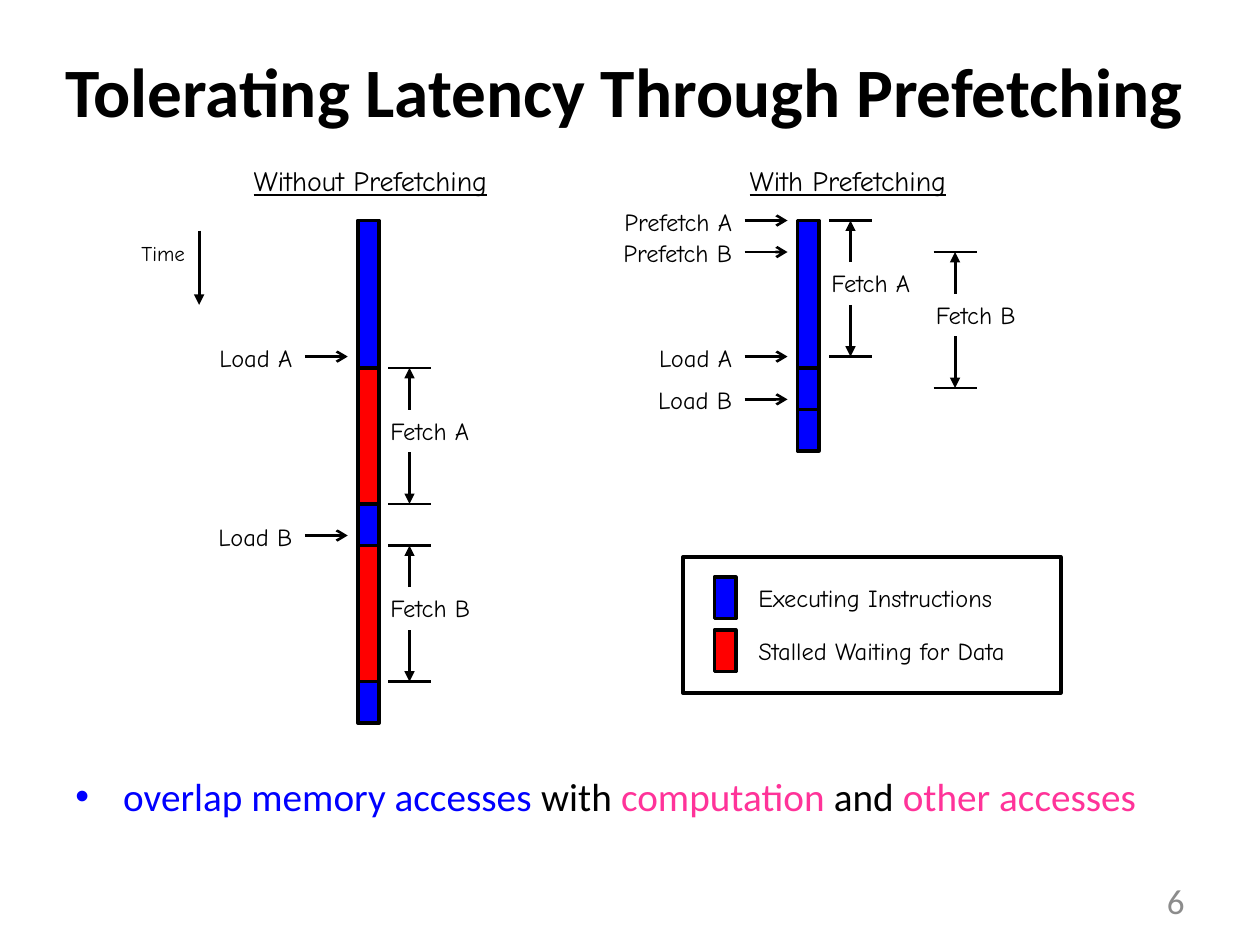
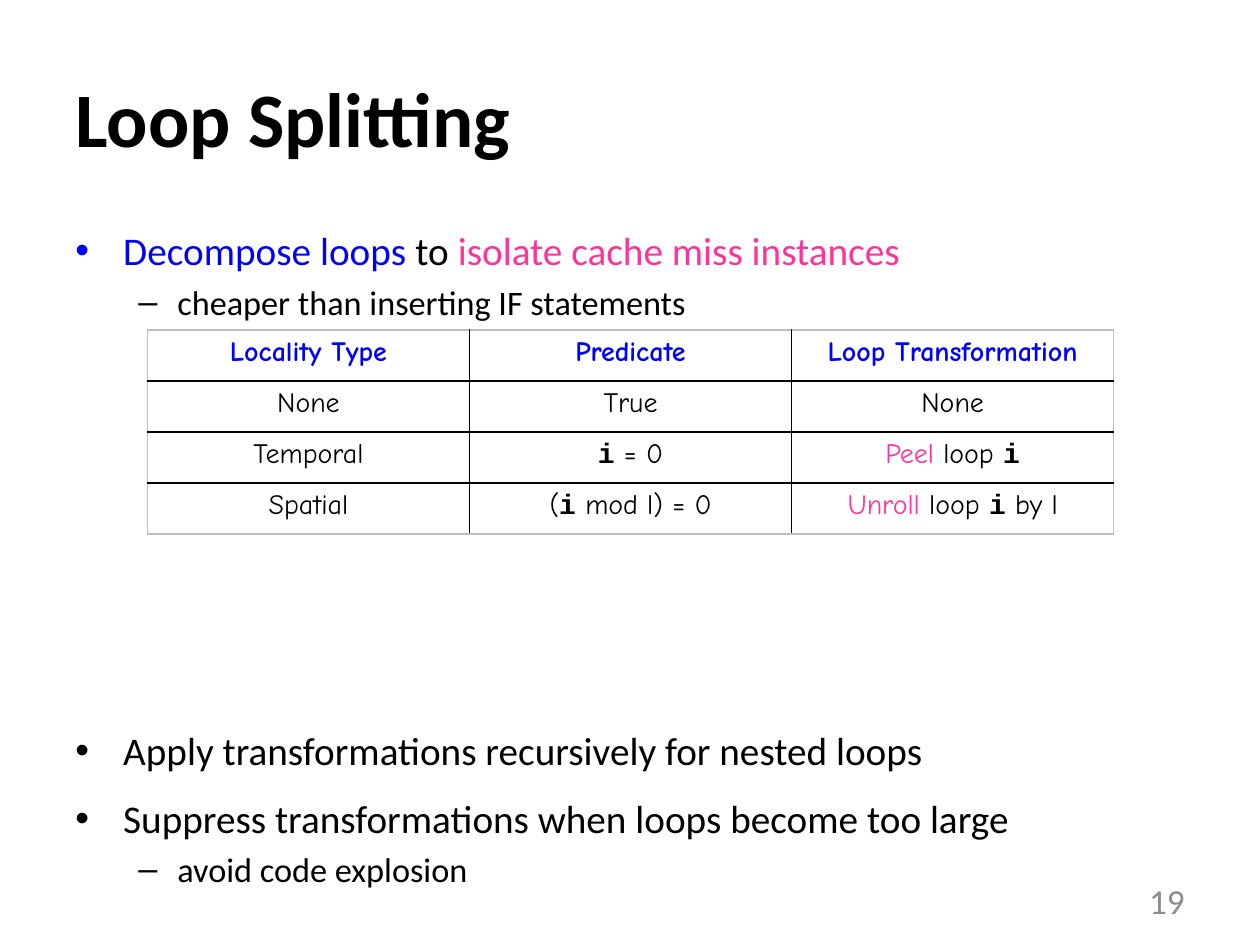
from lxml.etree import SubElement
from pptx import Presentation
from pptx.dml.color import RGBColor
from pptx.enum.shapes import MSO_CONNECTOR, MSO_SHAPE
from pptx.enum.text import MSO_ANCHOR, PP_ALIGN
from pptx.oxml import parse_xml
from pptx.oxml.ns import nsdecls, qn
from pptx.util import Inches, Pt

COLORS = {"text": "000000", "blue": "0000FF", "pink": "FF3399",
          "red": "FF0000", "page": "8C8C8C", "table_edge": "BFBFBF"}
BODY_FONT, LABEL_FONT, CODE_FONT = "Calibri", "Comic Neue", "Courier New"
ALIGN = {"left": PP_ALIGN.LEFT, "center": PP_ALIGN.CENTER, "right": PP_ALIGN.RIGHT}
BULLETS = [("•", 22.4, 0.38, 0.38), ("–", 19.6, 0.81, 0.31)]

TIME_ZERO = 1.75
BAR_WIDTH = 0.17
COMPUTE, STALL, STEP = 1.17, 1.08, 0.33
CODE_I = ("i", {"font": CODE_FONT, "bold": True})


def rgb(color):
    return RGBColor.from_string(COLORS[color])


def write(paragraph, runs, align="left", **base):
    """Fill a paragraph with a string or with (text, format changes) pairs."""
    paragraph.alignment = ALIGN[align]
    for words, changes in [(runs, {})] if isinstance(runs, str) else runs:
        style = {"size": 14, "font": LABEL_FONT, "color": "text",
                 "bold": False, "underline": False, **base, **changes}
        run = paragraph.add_run()
        run.text = words
        run.font.size = Pt(style["size"])
        run.font.name = style["font"]
        run.font.bold = style["bold"]
        run.font.underline = style["underline"]
        run.font.color.rgb = rgb(style["color"])


def add_frame(slide, box, wrap=True, anchor=MSO_ANCHOR.TOP):
    frame = slide.shapes.add_textbox(*map(Inches, box)).text_frame
    frame.word_wrap = wrap
    frame.vertical_anchor = anchor
    return frame


def add_text(slide, box, runs, wrap=False, anchor=MSO_ANCHOR.TOP, **style):
    write(add_frame(slide, box, wrap, anchor).paragraphs[0], runs, **style)


def add_title(slide, title, box, size):
    add_text(slide, box, title, wrap=True, anchor=MSO_ANCHOR.MIDDLE,
             size=size, font=BODY_FONT, bold=True)


def add_page_number(slide, number):
    add_text(slide, (7.17, 6.95, 2.33, 0.4), str(number), wrap=True,
             anchor=MSO_ANCHOR.MIDDLE, align="right", size=20,
             font=BODY_FONT, color="page")


def add_bullets(slide, box, items):
    """Each item is (level, runs, line spacing, points before)."""
    frame = add_frame(slide, box)
    for index, (level, runs, spacing, before) in enumerate(items):
        paragraph = frame.add_paragraph() if index else frame.paragraphs[0]
        mark, size, margin, hanging = BULLETS[level]
        paragraph.level = level
        paragraph.line_spacing = spacing
        paragraph.space_before = Pt(before)
        properties = paragraph._p.get_or_add_pPr()
        properties.set("marL", str(Inches(margin)))
        properties.set("indent", str(-Inches(hanging)))
        SubElement(properties, qn("a:buFont"), typeface="Arial")
        SubElement(properties, qn("a:buChar"), char=mark)
        write(paragraph, runs, size=size, font=BODY_FONT)


def add_box(slide, box, fill=None):
    shape = slide.shapes.add_shape(MSO_SHAPE.RECTANGLE, *map(Inches, box))
    shape.shadow.inherit = False
    if fill:
        shape.fill.solid()
        shape.fill.fore_color.rgb = rgb(fill)
    else:
        shape.fill.background()
    shape.line.color.rgb = rgb("text")
    shape.line.width = Pt(2)


def add_line(slide, start, end, width=1.5, head=None):
    line = slide.shapes.add_connector(
        MSO_CONNECTOR.STRAIGHT, *map(Inches, (*start, *end)))
    line.line.color.rgb = rgb("text")
    line.line.width = Pt(width)
    if head:
        SubElement(line.line._get_or_add_ln(), qn("a:tailEnd"), type=head)
    SubElement(line._element.spPr, qn("a:effectLst"))


def add_timeline(slide, left, phases):
    top = TIME_ZERO
    for color, duration in phases:
        add_box(slide, (left, top, BAR_WIDTH, duration), color)
        top += duration


def add_event(slide, bar_left, y, label):
    """Label and arrow that point at the timeline from its left."""
    arrow_left = bar_left - 0.42
    add_text(slide, (arrow_left - 1.2, y - 0.16, 1.2, 0.34), label, align="right")
    add_line(slide, (arrow_left, y), (arrow_left + 0.34, y), head="arrow")


def add_fetch(slide, axis, top, label):
    """Dimension mark as long as one fetch, with its label in the middle."""
    bottom = top + STALL
    for y in (top, bottom):
        add_line(slide, (axis - 0.17, y), (axis + 0.17, y))
    add_line(slide, (axis, top + 0.33), (axis, top), 1.75, "triangle")
    add_line(slide, (axis, bottom - 0.41), (axis, bottom), 1.75, "triangle")
    add_text(slide, (axis - 0.25, top + 0.33, 0.94, 0.34), label)


def set_borders(cell, edges):
    """Edges are colours in the order left, right, top, bottom."""
    properties = cell._tc.get_or_add_tcPr()
    for index, (side, color) in enumerate(zip("LRTB", edges)):
        properties.insert(index, parse_xml(
            f'<a:ln{side} {nsdecls("a")} w="{Pt(1)}"><a:solidFill>'
            f'<a:srgbClr val="{COLORS[color]}"/></a:solidFill></a:ln{side}>'))


def add_grid(slide, box, rows):
    last_row, last_column = len(rows) - 1, len(rows[0]) - 1
    table = slide.shapes.add_table(
        len(rows), len(rows[0]), *map(Inches, box)).table
    table.first_row = table.horz_banding = False
    for r, row in enumerate(rows):
        for c, runs in enumerate(row):
            cell = table.cell(r, c)
            cell.fill.background()
            outer = (c == 0, c == last_column, r == 0, r == last_row)
            set_borders(cell, ["table_edge" if edge else "text" for edge in outer])
            write(cell.text_frame.paragraphs[0], runs, align="center", size=16,
                  bold=r == 0, color="text" if r else "blue")


def add_legend(slide):
    add_box(slide, (5.42, 4.42, 3, 1.08))
    entries = [("blue", "Executing Instructions"), ("red", "Stalled Waiting for Data")]
    for index, (color, meaning) in enumerate(entries):
        top = 4.58 + 0.42 * index
        add_box(slide, (5.67, top, BAR_WIDTH, STEP), color)
        add_text(slide, (5.92, top, 2.4, 0.34), meaning)


def build_prefetching(slide):
    add_title(slide, "Tolerating Latency Through Prefetching",
              (0.42, 0.09, 9.58, 1.25), 39.6)
    add_bullets(slide, (0.5, 6.08, 9, 0.58), [
        (0, [("overlap memory accesses", {"color": "blue"}), (" with ", {}),
             ("computation", {"color": "pink"}), (" and ", {}),
             ("other accesses", {"color": "pink"})], 1, 4)])
    add_page_number(slide, 6)

    for heading, left, width in [("Without Prefetching", 1.75, 2.38),
                                 ("With Prefetching", 5.71, 2.04)]:
        add_text(slide, (left, 1.25, width, 0.37), heading,
                 align="center", size=16, underline=True)
    add_line(slide, (1.58, 1.83), (1.58, 2.42), 1.75, "triangle")
    add_text(slide, (1, 1.86, 0.59, 0.3), "Time", align="center", size=12)

    without = 2.84
    add_timeline(slide, without, [("blue", COMPUTE), ("red", STALL), ("blue", STEP),
                                  ("red", STALL), ("blue", STEP)])
    for y, label in [(2.83, "Load A"), (4.25, "Load B")]:
        add_event(slide, without, y, label)
    for top, label in [(2.92, "Fetch A"), (4.33, "Fetch B")]:
        add_fetch(slide, 3.25, top, label)

    with_prefetch = 6.33
    add_timeline(slide, with_prefetch,
                 [("blue", COMPUTE), ("blue", STEP), ("blue", STEP)])
    for y, label in [(1.75, "Prefetch A"), (2, "Prefetch B"),
                     (2.83, "Load A"), (3.17, "Load B")]:
        add_event(slide, with_prefetch, y, label)
    for axis, top, label in [(6.75, 1.75, "Fetch A"), (7.58, 2, "Fetch B")]:
        add_fetch(slide, axis, top, label)
    add_legend(slide)


def build_loop_splitting(slide):
    add_title(slide, "Loop Splitting", (0.5, 0.3, 9, 1.25), 44)
    add_bullets(slide, (0.5, 1.75, 9, 4.95), [
        (0, [("Decompose loops", {"color": "blue"}), (" to ", {}),
             ("isolate cache miss instances", {"color": "pink"})], 1, 4),
        (1, "cheaper than inserting IF statements", 1, 4),
        (0, "Apply transformations recursively for nested loops", 1.3, 223),
        (0, "Suppress transformations when loops become too large", 1.3, 4),
        (1, "avoid code explosion", 1, 4)])
    add_page_number(slide, 19)
    add_grid(slide, (1.17, 2.62, 7.67, 1.62), [
        ["Locality Type", "Predicate", "Loop Transformation"],
        ["None", "True", "None"],
        ["Temporal", [CODE_I, (" = 0", {})],
         [("Peel", {"color": "pink"}), (" loop ", {}), CODE_I]],
        ["Spatial", [("(", {}), CODE_I, (" mod l) = 0", {})],
         [("Unroll", {"color": "pink"}), (" loop ", {}), CODE_I, (" by l", {})]]])


def main():
    deck = Presentation()
    deck.slide_width, deck.slide_height = Inches(10), Inches(7.5)
    for build in (build_prefetching, build_loop_splitting):
        build(deck.slides.add_slide(deck.slide_layouts[6]))
    deck.save("out.pptx")


if __name__ == "__main__":
    main()
